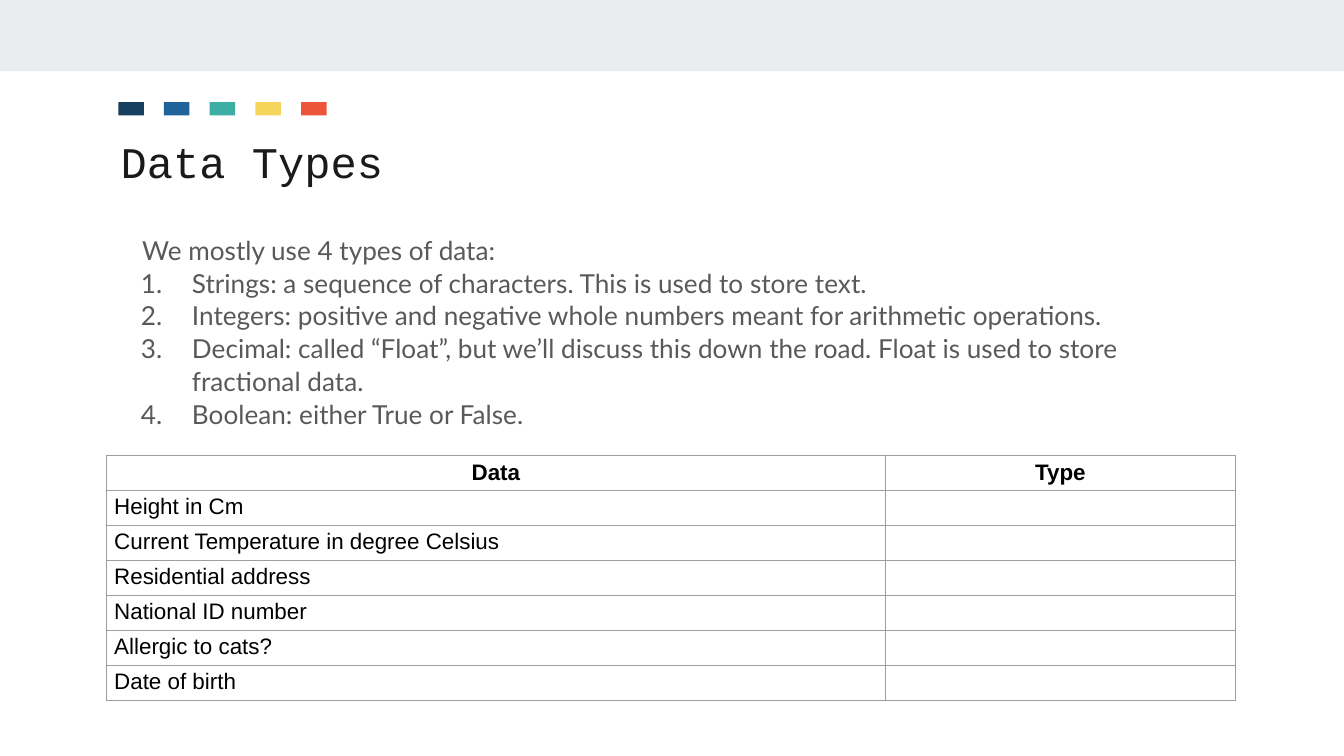
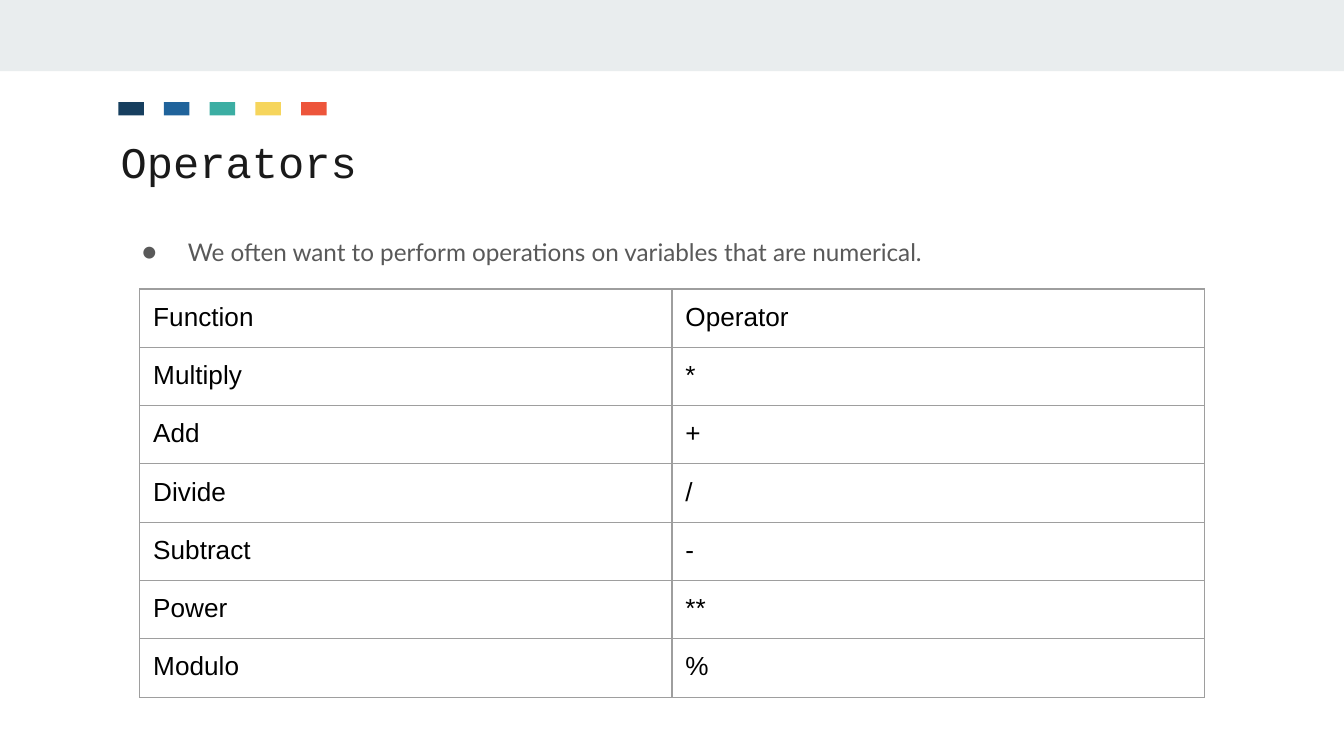
from dataclasses import dataclass
from typing import Optional

from pptx import Presentation
from pptx.dml.color import RGBColor
from pptx.enum.shapes import MSO_SHAPE
from pptx.enum.text import MSO_ANCHOR, PP_ALIGN
from pptx.oxml.xmlchemy import OxmlElement
from pptx.slide import Slide
from pptx.util import Inches, Pt

RECT = MSO_SHAPE.RECTANGLE
TOP, MIDDLE = MSO_ANCHOR.TOP, MSO_ANCHOR.MIDDLE
LEFT, CENTER = PP_ALIGN.LEFT, PP_ALIGN.CENTER

BAND, INK, GREY, RULE, BLACK = "E9EDEE", "1A1A1A", "595959", "9E9E9E", "000000"
CHIPS = ("173F5F", "20639B", "3CAEA3", "F6D55C", "ED553B")
MONO, SANS, CELL = "Courier New", "Lato", "Arial"


@dataclass
class Font:
    name: str
    size: float
    color: str


@dataclass
class Para:
    text: str
    indent: float = 0
    hang: float = 0
    bullet: str = ""
    numbered: bool = False


@dataclass
class Grid:
    left: float
    top: float
    height: float
    cols: tuple[float, ...]
    row: float
    pad: tuple[float, float]
    size: float
    rows: list[tuple[str, ...]]
    header: bool = False


def rgb(code: str) -> RGBColor:
    return RGBColor.from_string(code)


def node(tag: str, **attrs: str):
    """Make a drawing element with the given attributes."""
    made = OxmlElement(f"a:{tag}")
    for key, value in attrs.items():
        made.set(key, value)
    return made


def style(para, font: Font, bold: bool = False) -> None:
    for run in para.runs:
        run.font.name = font.name
        run.font.size = Pt(font.size)
        run.font.color.rgb = rgb(font.color)
        run.font.bold = bold


def add_rect(slide: Slide, left: float, top: float, width: float,
             height: float, color: str) -> None:
    box = slide.shapes.add_shape(RECT, Inches(left), Inches(top),
                                 Inches(width), Inches(height))
    box.shadow.inherit = False
    box.fill.solid()
    box.fill.fore_color.rgb = rgb(color)
    box.line.fill.background()


def set_list(para, item: Para, font: Font) -> None:
    """Set the indents and the bullet or number of a paragraph."""
    props = para._p.get_or_add_pPr()
    props.set("marL", str(Inches(item.indent)))
    props.set("indent", str(Inches(item.hang)))
    if not (item.numbered or item.bullet):
        props.append(node("buNone"))
        return
    tint = node("buClr")
    tint.append(node("srgbClr", val=font.color))
    props.append(tint)
    props.append(node("buFont", typeface=font.name))
    if item.numbered:
        props.append(node("buAutoNum", type="arabicPeriod"))
    else:
        props.append(node("buChar", char=item.bullet))


def add_text(slide: Slide, top: float, height: float, items: list[Para],
             font: Font, space: Optional[float] = None, anchor=TOP) -> None:
    box = slide.shapes.add_textbox(Inches(0.8), Inches(top),
                                   Inches(8.41), Inches(height))
    frame = box.text_frame
    frame.word_wrap = True
    frame.vertical_anchor = anchor
    frame.margin_left = frame.margin_right = Inches(0.1)
    frame.margin_top = frame.margin_bottom = Inches(0.1)
    frame.text = "\n".join(item.text for item in items)
    for para, item in zip(frame.paragraphs, items):
        if space:
            para.line_spacing = space
        set_list(para, item, font)
        style(para, font)


def set_edges(cell) -> None:
    """Draw a thin rule on all four sides of a cell."""
    props = cell._tc.get_or_add_tcPr()
    for spot, side in enumerate(("lnL", "lnR", "lnT", "lnB")):
        line = node(side, w=str(Pt(0.75)))
        fill = node("solidFill")
        fill.append(node("srgbClr", val=RULE))
        line.append(fill)
        props.insert(spot, line)


def add_grid(slide: Slide, grid: Grid) -> None:
    frame = slide.shapes.add_table(
        len(grid.rows), len(grid.cols), Inches(grid.left), Inches(grid.top),
        Inches(sum(grid.cols)), Inches(grid.height))
    table = frame.table
    table.first_row = table.horz_banding = False
    for col, width in zip(table.columns, grid.cols):
        col.width = Inches(width)
    font = Font(CELL, grid.size, BLACK)
    side, edge = grid.pad
    for r, texts in enumerate(grid.rows):
        table.rows[r].height = Inches(grid.row)
        head = grid.header and r == 0
        for c, text in enumerate(texts):
            cell = table.cell(r, c)
            cell.fill.background()
            set_edges(cell)
            cell.margin_left = cell.margin_right = Inches(side)
            cell.margin_top = cell.margin_bottom = Inches(edge)
            para = cell.text_frame.paragraphs[0]
            if text:
                para.text = text
                para.alignment = CENTER if head else LEFT
                style(para, font, head)
            # Without its own end size an empty cell makes the row grow.
            para._p.append(node("endParaRPr", sz=str(int(grid.size * 100))))
    frame.height = Inches(grid.height)


def add_page(deck, title: str) -> Slide:
    """Add a slide with the band, the colour chips and the title."""
    slide = deck.slides.add_slide(deck.slide_layouts[6])
    add_rect(slide, 0, 0, 10, 0.53, BAND)
    for i, color in enumerate(CHIPS):
        add_rect(slide, 0.88 + 0.34 * i, 0.76, 0.19, 0.1, color)
    add_text(slide, 0.9, 0.59, [Para(title)], Font(MONO, 23.4, INK),
             anchor=MIDDLE)
    return slide


def add_types(deck) -> None:
    slide = add_page(deck, "Data Types")
    kinds = (
        "Strings: a sequence of characters. This is used to store text.",
        "Integers: positive and negative whole numbers meant for arithmetic "
        "operations.",
        "Decimal: called “Float”, but we’ll discuss this down the road. "
        "Float is used to store fractional data.",
        "Boolean: either True or False.",
    )
    items = [Para("We mostly use 4 types of data:", 0.16)]
    items += [Para(kind, 0.53, -0.38, numbered=True) for kind in kinds]
    add_text(slide, 1.63, 1.76, items, Font(SANS, 14, GREY), 1.05)
    facts = ("Height in Cm", "Current Temperature in degree Celsius",
             "Residential address", "National ID number",
             "Allergic to cats?", "Date of birth")
    rows = [("Data", "Type")] + [(fact, "") for fact in facts]
    add_grid(slide, Grid(0.79, 3.39, 1.83, (5.8, 2.6), 0.26, (0.06, 0.03),
                         12, rows, header=True))


def add_signs(deck) -> None:
    slide = add_page(deck, "Operators")
    note = Para("We often want to perform operations on variables that are "
                "numerical.", 0.5, -0.34, bullet="●")
    add_text(slide, 1.63, 0.52, [note], Font(SANS, 13, GREY), 1.15)
    rows = [("Function", "Operator"), ("Multiply", "*"), ("Add", "+"),
            ("Divide", "/"), ("Subtract", "-"), ("Power", "**"),
            ("Modulo", "%")]
    add_grid(slide, Grid(1.04, 2.15, 3.03, (3.96, 3.96), 5 / 12, (0.1, 0.1),
                         14, rows))


def main() -> None:
    deck = Presentation()
    deck.slide_width = Inches(10)
    deck.slide_height = deck.slide_width * 9 // 16
    add_types(deck)
    add_signs(deck)
    deck.save("out.pptx")


if __name__ == "__main__":
    main()
